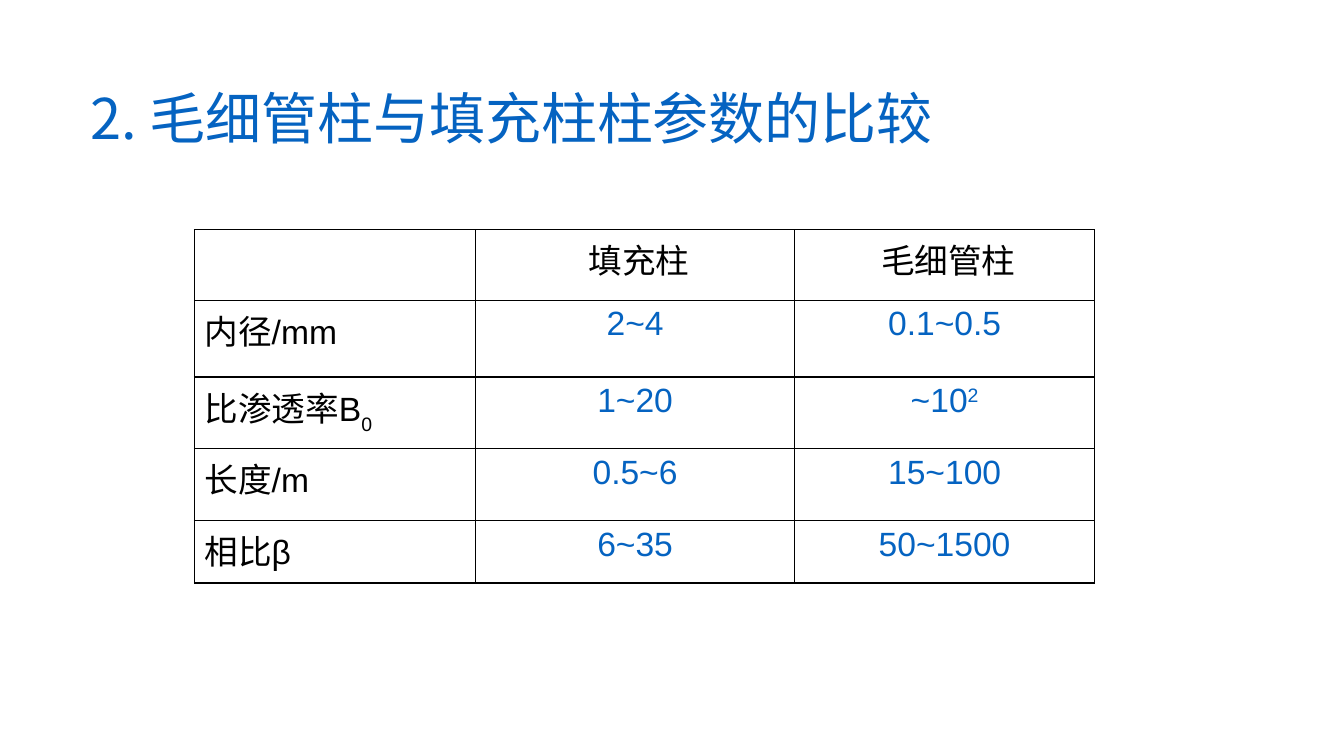
from dataclasses import dataclass

from lxml.etree import SubElement
from pptx import Presentation
from pptx.dml.color import RGBColor
from pptx.enum.text import MSO_ANCHOR, PP_ALIGN
from pptx.oxml.ns import qn
from pptx.util import Cm, Pt


@dataclass(frozen=True)
class Theme:
    """Colours, fonts and type sizes of the slide."""
    ink: str = "000000"
    blue: str = "0563C1"
    latin: str = "Arial"
    han: str = "Noto Sans CJK SC"
    head: int = 40
    body: int = 24
    line: int = 1


THEME = Theme()
TITLE = "2. 毛细管柱与填充柱柱参数的比较"
COLS = [7.09, 8.03, 7.57]
TABLES = [
    [(1.78, ["", " 填充柱", " 毛细管柱"]),
     (1.93, ["内径/mm", "2~4", "0.1~0.5"])],
    [(1.81, [("比渗透率B", "0", -30), "1~20", ("~10", "2", 30)])],
    [(1.81, ["长度/m", "0.5~6", "15~100"])],
    [(1.57, ["相比β", "6~35", "50~1500"])],
]


def apply(item, form):
    """Set each attribute of item from a dict of format values."""
    for name, value in form.items():
        setattr(item, name, value)


def add_run(para, text, size, face, tint, shift=0):
    """Add a run of text, raised or lowered by shift percent."""
    run = para.add_run()
    run.text = text
    apply(run.font, {"size": Pt(size), "name": face})
    run.font.color.rgb = RGBColor.from_string(tint)
    props = run.font._element
    SubElement(props, qn("a:ea"), typeface=THEME.han)
    if shift:
        props.set("baseline", str(shift * 1000))


def add_edges(cell):
    """Draw the four borders of a cell, leaving it unfilled."""
    cell.fill.background()
    props = cell._tc.get_or_add_tcPr()
    for place, side in enumerate(("lnL", "lnR", "lnT", "lnB")):
        edge = props.makeelement(qn(f"a:{side}"), {"w": str(Pt(THEME.line))})
        fill = SubElement(edge, qn("a:solidFill"))
        SubElement(fill, qn("a:srgbClr"), val=THEME.ink)
        props.insert(place, edge)


def add_title(slide, left, top, width, height):
    """Place the slide title in the given box."""
    frame = slide.shapes.add_textbox(left, top, width, height).text_frame
    apply(frame, {"word_wrap": True, "vertical_anchor": MSO_ANCHOR.MIDDLE})
    para = frame.paragraphs[0]
    para.line_spacing = 0.9
    add_run(para, TITLE, THEME.head, THEME.han, THEME.blue)


def fill_cell(cell, value, label, centre):
    """Write one value, given as text or as (text, mark, shift)."""
    add_edges(cell)
    para = cell.text_frame.paragraphs[0]
    para.alignment = PP_ALIGN.CENTER if centre else PP_ALIGN.JUSTIFY
    tint = THEME.ink if label else THEME.blue
    text, mark, shift = (value, "", 0) if isinstance(value, str) else value
    for part, rise in ((text, 0), (mark, shift)):
        if part:
            add_run(para, part, THEME.body, THEME.latin, tint, rise)


def add_grid(slide, rows, left, top, header):
    """Place a table at the given corner and return its height."""
    height = Cm(sum(size for size, _ in rows))
    table = slide.shapes.add_table(
        len(rows), len(COLS), left, top, Cm(sum(COLS)), height).table
    apply(table, {"first_row": False, "horz_banding": False})
    for col, width in zip(table.columns, COLS):
        col.width = Cm(width)
    for row, (size, values) in enumerate(rows):
        table.rows[row].height = Cm(size)
        for col, value in enumerate(values):
            label = col == 0 or (header and row == 0)
            fill_cell(table.cell(row, col), value, label, col > 0)
    return height


def add_stack(slide, left, top):
    """Stack the tables of column parameters below the given corner."""
    for place, rows in enumerate(TABLES):
        top += add_grid(slide, rows, left, top, place == 0)


def main():
    """Build the slide and save it."""
    deck = Presentation()
    apply(deck, {"slide_width": Cm(33.87), "slide_height": Cm(19.05)})
    slide = deck.slides.add_slide(deck.slide_layouts[6])
    add_title(slide, Cm(2.03), Cm(1.85), Cm(29.21), Cm(2.41))
    add_stack(slide, Cm(4.9), Cm(5.79))
    deck.save("out.pptx")


if __name__ == "__main__":
    main()
